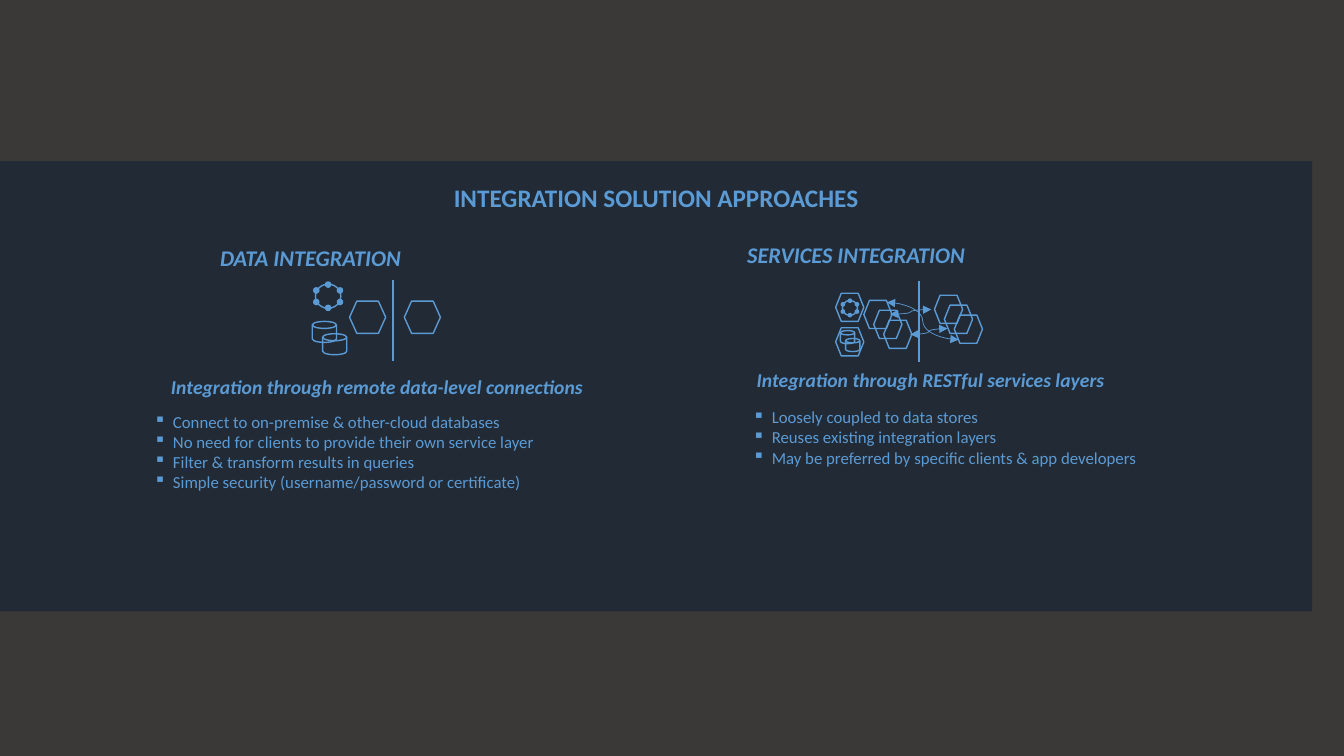
from math import cos, pi, sin

from lxml.etree import SubElement
from pptx import Presentation
from pptx.dml.color import RGBColor
from pptx.enum.shapes import MSO_CONNECTOR, MSO_SHAPE
from pptx.enum.text import MSO_ANCHOR, MSO_AUTO_SIZE, PP_ALIGN
from pptx.oxml.ns import qn
from pptx.util import Cm, Pt

COLORS = {"back": "3B3838", "panel": "222A35", "blue": "5B9BD5"}
FONTS = {
    "title": {"size": Pt(18), "bold": True},
    "head": {"size": Pt(16), "bold": True, "italic": True},
    "sub": {"size": Pt(14), "bold": True, "italic": True},
    "list": {"size": Pt(12)},
}
HEX = MSO_SHAPE.FLOWCHART_PREPARATION
DISK = MSO_SHAPE.FLOWCHART_MAGNETIC_DISK


def color(name):
    return RGBColor.from_string(COLORS[name])


class Board:
    """Draws styled elements on one slide; all lengths are in centimetres."""

    def __init__(self, deck):
        self.slide = deck.slides.add_slide(deck.slide_layouts[5])
        self.shapes = self.slide.shapes
        fill = self.slide.background.fill
        fill.solid()
        fill.fore_color.rgb = color("back")

    def shape(self, kind, box, fill=None, line="blue", host=None):
        item = (host or self.shapes).add_shape(kind, *map(Cm, box))
        item.shadow.inherit = False
        if fill:
            item.fill.solid()
            item.fill.fore_color.rgb = color(fill)
        else:
            item.fill.background()
        if line:
            item.line.color.rgb = color(line)
            item.line.width = Pt(1)
        else:
            item.line.fill.background()
        return item

    def panel(self, box):
        """Put a plain block behind the title."""
        item = self.shape(MSO_SHAPE.RECTANGLE, box, "panel", None)
        self.shapes.title.element.addprevious(item.element)

    def label(self, item, lines, style, align=PP_ALIGN.LEFT, wrap=True, bullet=None):
        """Fill a box with styled paragraphs."""
        frame = item.text_frame
        form = {"word_wrap": wrap, "vertical_anchor": MSO_ANCHOR.TOP,
                "auto_size": MSO_AUTO_SIZE.SHAPE_TO_FIT_TEXT}
        for key, value in form.items():
            setattr(frame, key, value)
        for index, line in enumerate(lines):
            para = frame.add_paragraph() if index else frame.paragraphs[0]
            para.alignment = align
            if bullet:
                props = para._p.get_or_add_pPr()
                props.set("marL", str(Cm(0.48)))
                props.set("indent", str(-Cm(0.48)))
                SubElement(props, qn("a:buChar"), char=bullet)
            run = para.add_run()
            run.text = line
            for key, value in {"name": "Calibri", **FONTS[style]}.items():
                setattr(run.font, key, value)
            run.font.color.rgb = color("blue")

    def title(self, box, text):
        item = self.shapes.title
        for key, value in zip(("left", "top", "width", "height"), box):
            setattr(item, key, Cm(value))
        self.label(item, [text], "title", PP_ALIGN.CENTER)

    def text(self, box, lines, style, **form):
        self.label(self.shapes.add_textbox(*map(Cm, box)), lines, style, **form)

    def line(self, ends, kind=MSO_CONNECTOR.STRAIGHT, width=1.5, arrows=False):
        item = self.shapes.add_connector(kind, *map(Cm, ends))
        item.line.color.rgb = color("blue")
        item.line.width = Pt(width)
        props = item.element.spPr
        if arrows:
            for end in ("a:headEnd", "a:tailEnd"):
                SubElement(props.find(qn("a:ln")), qn(end), type="triangle")
        SubElement(props, qn("a:effectLst"))

    def ring(self, box, dot):
        """Draw a circle with six dots spread evenly around it."""
        group = self.shapes.add_group_shape().shapes
        self.shape(MSO_SHAPE.OVAL, box, host=group)
        left, top, width, height = box
        for step in range(6):
            turn = step * pi / 3
            x = left + width * (0.5 + 0.54 * sin(turn)) - dot / 2
            y = top + height * (0.5 - 0.48 * cos(turn)) - dot / 2
            self.shape(MSO_SHAPE.OVAL, (x, y, dot, dot), "blue", host=group)

    def chain(self, kind, box, count, dx, dy):
        """Draw equal shapes, each moved on by the same step."""
        left, top, width, height = box
        for step in range(count):
            self.shape(kind, (left + step * dx, top + step * dy, width, height))


def main():
    deck = Presentation()
    deck.slide_width, deck.slide_height = Cm(33.87), Cm(19.05)
    board = Board(deck)
    board.panel((0, 4.06, 33.07, 11.35))
    board.title((0, 4.47, 33.07, 1.02), "INTEGRATION SOLUTION APPROACHES")

    sides = [
        ("DATA INTEGRATION", (5.26, 6.02, 5.13, 0.94),
         "Integration through remote data-level connections", (4.06, 9.32, 11.86, 0.86),
         ["Connect to on-premise & other-cloud databases",
          "No need for clients to provide their own service layer",
          "Filter & transform results in queries",
          "Simple security (username/password or certificate)"],
         (3.63, 10.24, 13.06, 2.31)),
        ("SERVICES INTEGRATION", (18.54, 5.94, 6.07, 0.94),
         "Integration through RESTful services layers", (18.82, 9.14, 10.46, 0.86),
         ["Loosely coupled to data stores",
          "Reuses existing integration layers",
          "May be preferred by specific clients & app developers"],
         (18.72, 10.13, 12.65, 1.8)),
    ]
    for head, top, sub, mid, items, low in sides:
        board.text(top, [head], "head", align=PP_ALIGN.CENTER, wrap=False)
        board.text(mid, [sub], "sub")
        board.text(low, items, "list", bullet="▪")

    # Data diagram
    board.ring((7.95, 7.16, 0.64, 0.61), 0.13)
    board.chain(DISK, (7.87, 8.1, 0.61, 0.53), 2, 0.26, 0.31)
    board.chain(HEX, (8.81, 7.59, 0.91, 0.81), 2, 1.38, 0)
    board.line((9.91, 7.06, 9.91, 9.09))

    # Services diagram
    board.chain(HEX, (21.06, 7.39, 0.71, 0.71), 2, 0, 0.87)
    board.ring((21.23, 7.57, 0.38, 0.38), 0.08)
    board.chain(DISK, (21.18, 8.33, 0.36, 0.33), 2, 0.13, 0.2)
    for left, top in ((21.77, 7.57), (23.55, 7.44)):
        board.chain(HEX, (left, top, 0.71, 0.71), 3, 0.25, 0.25)
    for ends in ((22.35, 7.62, 24.16, 8.56), (22.94, 8.43, 23.88, 8.28),
                 (22.43, 7.92, 23.47, 7.8)):
        board.line(ends, MSO_CONNECTOR.CURVE, 0.5, True)
    board.line((23.16, 7.09, 23.16, 9.12))

    deck.save("out.pptx")


if __name__ == "__main__":
    main()
